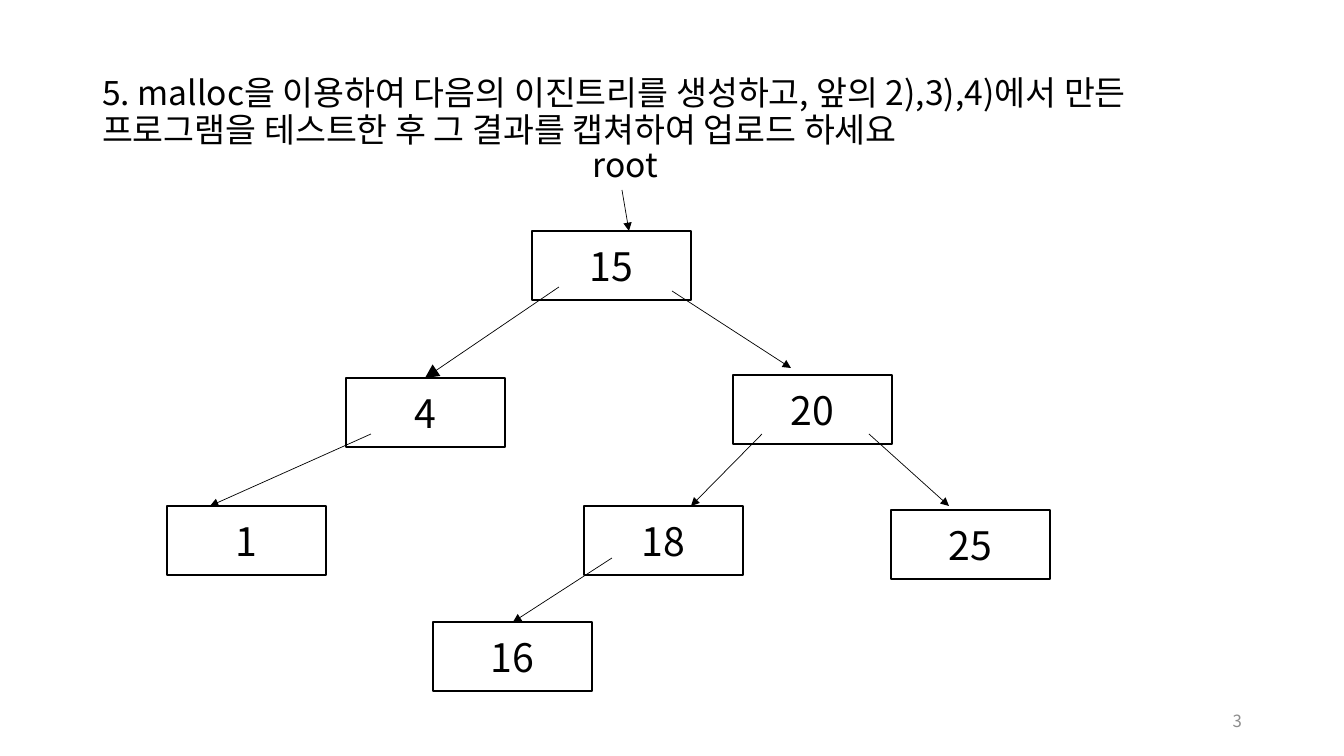
from lxml.etree import SubElement
from pptx import Presentation
from pptx.dml.color import RGBColor
from pptx.enum.shapes import MSO_CONNECTOR as LINE, MSO_SHAPE as SHAPE
from pptx.enum.text import MSO_ANCHOR as ANCHOR, MSO_AUTO_SIZE as FIT, PP_ALIGN as ALIGN
from pptx.oxml.ns import qn
from pptx.util import Emu, Pt

SCALE = 914400 / 100.8
FONT = "Noto Sans CJK KR"
BLACK, GRAY = "000000", "8C8C8C"
NODE_SIZE = (159, 69)

# Positions below are relative to the tree's box.
NODES = {
    "15": (372, 101),
    "4": (186, 248),
    "20": (573, 245),
    "1": (7, 376),
    "18": (424, 376),
    "25": (731, 380),
    "16": (273, 492),
}
ROOT_LABEL = (423, 9, 199, 50)
ROOT_ARROW = (462, 60, 469, 101)
LEFT_ARROW = (399, 157, 265, 248)
ARROWS = [
    (512, 161, 631, 238),
    (211, 304, 50, 376),
    (602, 304, 531, 376),
    (709, 304, 789, 376),
    (452, 428, 353, 492),
]


def px(*lengths):
    """Turn pixel lengths into EMU."""
    return [Emu(round(length * SCALE)) for length in lengths]


def color(value):
    """Turn a hex string into a colour."""
    return RGBColor.from_string(value)


def write(shape, text, size, align=ALIGN.LEFT, anchor=ANCHOR.MIDDLE, ink=BLACK):
    """Put one formatted paragraph into a shape and return it."""
    frame = shape.text_frame
    frame.text = text
    frame.word_wrap = True
    frame.auto_size = FIT.NONE
    frame.vertical_anchor = anchor
    para = frame.paragraphs[0]
    para.alignment = align
    for span in para.runs:
        span.font.size = Pt(size)
        span.font.name = FONT
        span.font.color.rgb = color(ink)
        SubElement(span.font._element, qn("a:ea"), typeface=FONT)
    return para


def add_title(page, box, text):
    """Move the title placeholder into the box and fill it."""
    title = page.shapes.title
    title.left, title.top, title.width, title.height = px(*box)
    write(title, text, 24).line_spacing = 0.9


def add_node(page, box, value):
    """Draw one tree node as an outlined rectangle."""
    node = page.shapes.add_shape(SHAPE.RECTANGLE, *px(*box))
    node.shadow.inherit = False
    node.fill.background()
    node.line.color.rgb = color(BLACK)
    node.line.width = Pt(1)
    write(node, value, 28, ALIGN.CENTER)


def add_arrow(page, ends, head="med"):
    """Draw a thin line ending in a filled triangle."""
    arrow = page.shapes.add_connector(LINE.STRAIGHT, *px(*ends))
    arrow.line.color.rgb = color(BLACK)
    arrow.line.width = Pt(0.5)
    SubElement(arrow.line._get_or_add_ln(), qn("a:tailEnd"), type="triangle", w=head, len=head)
    SubElement(arrow._element.spPr, qn("a:effectLst"))


def add_tree(page, left, top):
    """Draw the binary tree with its corner at the given point."""
    for value, (x, y) in NODES.items():
        add_node(page, (left + x, top + y, *NODE_SIZE), value)
    x, y, width, height = ROOT_LABEL
    label = page.shapes.add_textbox(*px(left + x, top + y, width, height))
    write(label, "root", 24, anchor=ANCHOR.TOP)
    for arrow in [ROOT_ARROW, LEFT_ARROW, *ARROWS]:
        x1, y1, x2, y2 = arrow
        head = "lg" if arrow == LEFT_ARROW else "med"
        add_arrow(page, (left + x1, top + y1, left + x2, top + y2), head)


def add_page_number(page, box, number):
    """Write the page number at the right of the box."""
    write(page.shapes.add_textbox(*px(*box)), number, 12, ALIGN.RIGHT, ink=GRAY)


deck = Presentation()
deck.slide_width, deck.slide_height = px(1344, 756)
page = deck.slides.add_slide(deck.slide_layouts[5])
add_title(
    page,
    (92, 40, 1160, 146),
    "5. malloc을 이용하여 다음의 이진트리를 생성하고, 앞의 2),3),4)에서 만든 "
    "프로그램을 테스트한 후 그 결과를 캡쳐하여 업로드 하세요",
)
add_tree(page, 160, 130)
add_page_number(page, (950, 701, 302, 40), "3")
deck.save("out.pptx")
